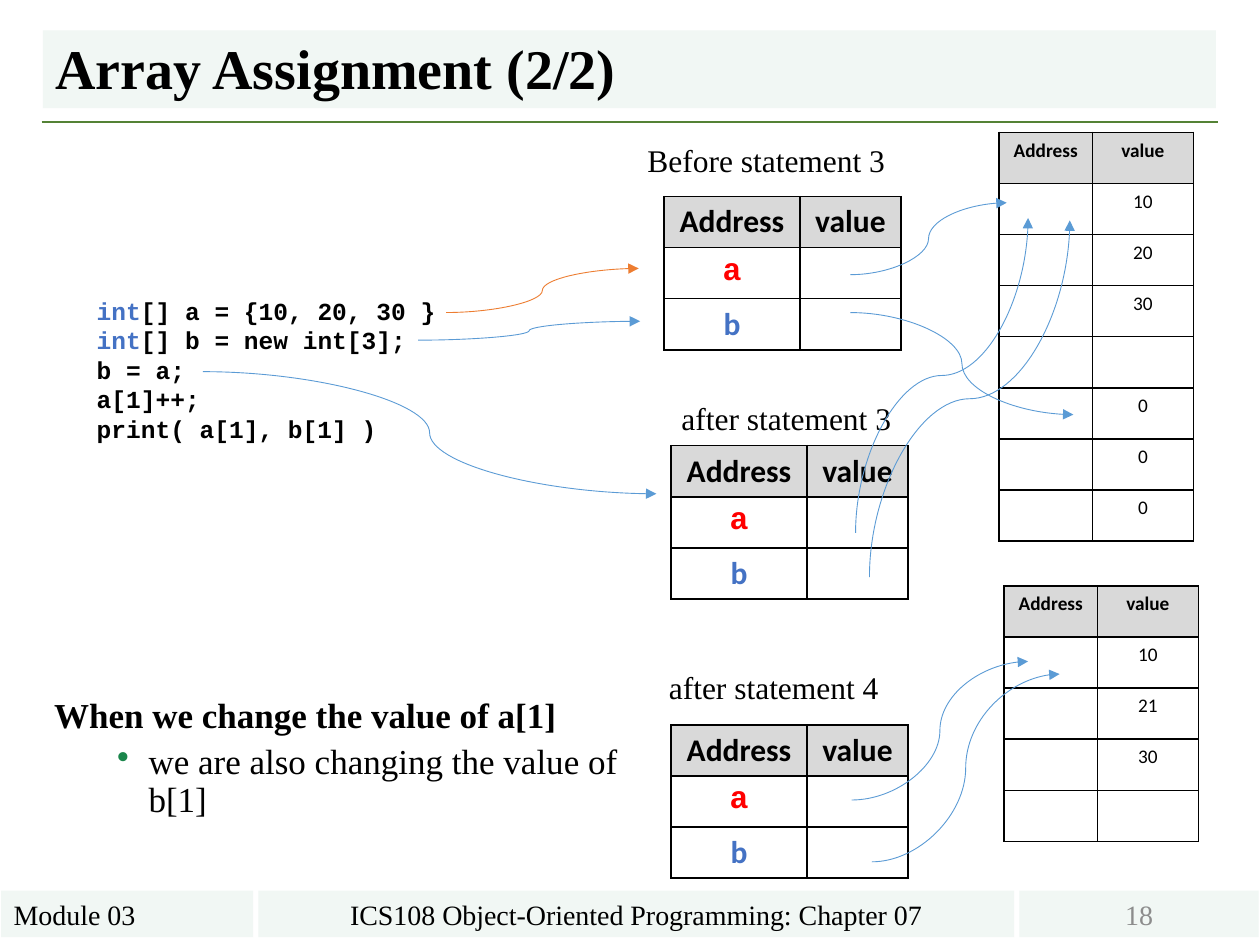
"""Builds the slide that traces array assignment through memory tables."""
from lxml import etree
from pptx import Presentation
from pptx.dml.color import RGBColor
from pptx.enum.shapes import MSO_CONNECTOR, MSO_SHAPE
from pptx.enum.text import MSO_ANCHOR, PP_ALIGN
from pptx.oxml.ns import qn
from pptx.util import Pt

CURVE, STRAIGHT = MSO_CONNECTOR.CURVE, MSO_CONNECTOR.STRAIGHT
RECT = MSO_SHAPE.RECTANGLE
LEFT, CENTER = PP_ALIGN.LEFT, PP_ALIGN.CENTER
MIDDLE, BOTTOM = MSO_ANCHOR.MIDDLE, MSO_ANCHOR.BOTTOM
SERIF, SANS, MONO = "Times New Roman", "Calibri", "Courier New"
BLACK, BLUE, SKY, ORANGE, RED = "000000", "4472C4", "5B9BD5", "ED7D31", "FF0000"
PALE, GRAY, GREEN, BULLET = "F1F7F4", "D9D9D9", "548235", "1A864B"

TITLE = "Array Assignment (2/2)"
FOOTERS = [
    ("Module 03", 0.7, 144, LEFT, BLACK),
    ("ICS108 Object-Oriented Programming: Chapter 07", 147.6, 432, CENTER, BLACK),
    ("18", 582.5, 136.8, CENTER, "8C8C8C"),
]
CODE = [
    [("int", BLUE), ("[] a = {10, 20, 30 }", BLACK)],
    [("int", BLUE), ("[] b = new int[3];", BLACK)],
    [("b = a;", BLACK)],
    [("a[1]++;", BLACK)],
    [("print( a[1], b[1] )", BLACK)],
]
NOTES = ["When we change the value of a[1]", "we are also changing the value of b[1]"]
CAPTIONS = [
    ("Before statement 3", 362.9, 77, 156.2),
    ("after statement 3", 382.3, 224.6, 135.4),
    ("after statement 4", 375.1, 378, 135.4),
]
HEAP_TABLES = [
    (570.9, 75.6, ["10", "20", "30", "", "0", "0", "0"]),
    (573.8, 334.8, ["10", "21", "30", ""]),
]
VARIABLE_TABLES = [(379.4, 112.3), (383.4, 254.7), (383.4, 414.2)]
VARIABLES = [("a", MONO, RED), ("b", SANS, BLUE)]
ARROWS = [
    (486, 157, 575.3, 115.9, SKY),
    (254.9, 178.6, 365, 153.4, ORANGE),
    (239, 194.4, 365.8, 183.6, SKY),
    (115.9, 212.4, 375.1, 282.2, SKY),
    (486, 178.6, 613.4, 236.9, SKY),
    (486.7, 457.2, 587.5, 378, SKY),
    (498.2, 492.5, 605.5, 385.2, SKY),
]
UPRIGHT_ARROWS = [(496.8, 329.8, 611.3, 126), (488.9, 304.6, 587.5, 124.6)]


def rgb(color):
    return RGBColor.from_string(color)


def set_font(font, size, name, color, bold=False):
    font.size, font.name, font.bold = Pt(size), name, bold
    font.color.rgb = rgb(color)


def add_text(s, x, y, w, h, wrap=True):
    tf = s.shapes.add_textbox(Pt(x), Pt(y), Pt(w), Pt(h)).text_frame
    tf.word_wrap = wrap
    return tf


def add_line(s, kind, x1, y1, x2, y2, color, width):
    line = s.shapes.add_connector(kind, Pt(x1), Pt(y1), Pt(x2), Pt(y2))
    line.line.color.rgb = rgb(color)
    line.line.width = Pt(width)
    etree.SubElement(line._element.spPr, qn("a:effectLst"))
    return line


def add_arrow(s, x1, y1, x2, y2, color):
    arrow = add_line(s, CURVE, x1, y1, x2, y2, color, 0.5)
    etree.SubElement(arrow.line._get_or_add_ln(), qn("a:tailEnd"), type="triangle")
    return arrow


def add_upright_arrow(s, x1, y1, x2, y2):
    cx, cy = (x1 + x2) / 2, (y1 + y2) / 2
    dx, dy = (y1 - y2) / 2, (x2 - x1) / 2
    arrow = add_arrow(s, cx + dx, cy + dy, cx - dx, cy - dy, SKY)
    arrow._element.spPr.xfrm.set("rot", "5400000")


def set_cell(cell, text, size, name, color, bold, fill=None):
    tcPr = cell._tc.get_or_add_tcPr()
    for side in ("lnL", "lnR", "lnT", "lnB"):
        ln = etree.SubElement(tcPr, qn("a:" + side), w=str(Pt(1)))
        solid = etree.SubElement(ln, qn("a:solidFill"))
        etree.SubElement(solid, qn("a:srgbClr"), val=BLACK)
    if fill:
        cell.fill.solid()
        cell.fill.fore_color.rgb = rgb(fill)
    else:
        cell.fill.background()
    p = cell.text_frame.paragraphs[0]
    p.text, p.alignment = text, CENTER
    set_font(p.font, size, name, color, bold)


def add_memory(s, x, y, widths, size, rows):
    row_h = 29.2
    header = [("Address", SANS, BLACK, True), ("value", SANS, BLACK, True)]
    table = s.shapes.add_table(len(rows) + 1, 2, Pt(x), Pt(y), Pt(sum(widths)),
                               Pt(row_h * (len(rows) + 1))).table
    table.horz_banding = False
    for col, width in zip(table.columns, widths):
        col.width = Pt(width)
    for i, row in enumerate([header] + rows):
        table.rows[i].height = Pt(row_h)
        for j, (text, name, color, bold) in enumerate(row):
            set_cell(table.cell(i, j), text, size, name, color, bold,
                     GRAY if i == 0 else None)


def add_title(s):
    title = s.shapes.title
    title.left, title.top, title.width, title.height = Pt(24.5), Pt(17.3), Pt(670.3), Pt(44.6)
    title.fill.solid()
    title.fill.fore_color.rgb = rgb(PALE)
    tf = title.text_frame
    tf.text, tf.vertical_anchor = TITLE, BOTTOM
    p = tf.paragraphs[0]
    p.alignment, p.line_spacing = LEFT, 0.9
    set_font(p.font, 32, SERIF, BLACK, True)
    add_line(s, STRAIGHT, 23.8, 69.8, 696.2, 69.8, GREEN, 1.5)


def add_footers(s):
    for text, x, w, align, color in FOOTERS:
        sp = s.shapes.add_shape(RECT, Pt(x), Pt(509), Pt(w), Pt(26.6))
        sp.shadow.inherit = False
        sp.fill.solid()
        sp.fill.fore_color.rgb = rgb(PALE)
        sp.line.fill.background()
        sp.text_frame.vertical_anchor = MIDDLE
        p = sp.text_frame.paragraphs[0]
        p.text, p.alignment = text, align
        set_font(p.font, 16, SERIF, color)


def add_code(s):
    tf = add_text(s, 48.2, 165.6, 241.2, 92.2)
    for i, runs in enumerate(CODE):
        p = tf.add_paragraph() if i else tf.paragraphs[0]
        for text, color in runs:
            r = p.add_run()
            r.text = text
            set_font(r.font, 14, MONO, color, True)


def add_notes(s):
    tf = add_text(s, 23.8, 395.3, 355.7, 97.2)
    for i, text in enumerate(NOTES):
        p = tf.add_paragraph() if i else tf.paragraphs[0]
        p.text, p.line_spacing, p.space_before = text, 0.9, Pt(5 if i else 18)
        set_font(p.font, 20, SERIF, BLACK, i == 0)
    p.level = 1
    pPr = p._p.get_or_add_pPr()
    pPr.set("marL", str(Pt(54)))
    pPr.set("indent", str(Pt(-18)))
    bullet = etree.Element(qn("a:buClr"))
    etree.SubElement(bullet, qn("a:srgbClr"), val=BULLET)
    mark = etree.Element(qn("a:buChar"), char="•")
    pPr.find(qn("a:spcBef")).addnext(bullet)
    bullet.addnext(mark)


def main():
    prs = Presentation()
    prs.slide_width, prs.slide_height = Pt(720), Pt(540)
    s = prs.slides.add_slide(prs.slide_layouts[5])
    add_title(s)
    add_footers(s)
    for x, y, values in HEAP_TABLES:
        rows = [[(v, SANS, BLACK, False) for v in ("", value)] for value in values]
        add_memory(s, x, y, (53.4, 57.6), 11, rows)
    for x, y in VARIABLE_TABLES:
        rows = [[(*var, True), ("", SANS, BLACK, True)] for var in VARIABLES]
        add_memory(s, x, y, (77.8, 57.6), 18, rows)
    add_code(s)
    add_notes(s)
    for text, x, y, w in CAPTIONS:
        p = add_text(s, x, y, w, 28.8, wrap=False).paragraphs[0]
        p.text = text
        set_font(p.font, 18, SERIF, BLACK)
    for arrow in ARROWS:
        add_arrow(s, *arrow)
    for arrow in UPRIGHT_ARROWS:
        add_upright_arrow(s, *arrow)
    prs.save("out.pptx")


if __name__ == "__main__":
    main()
